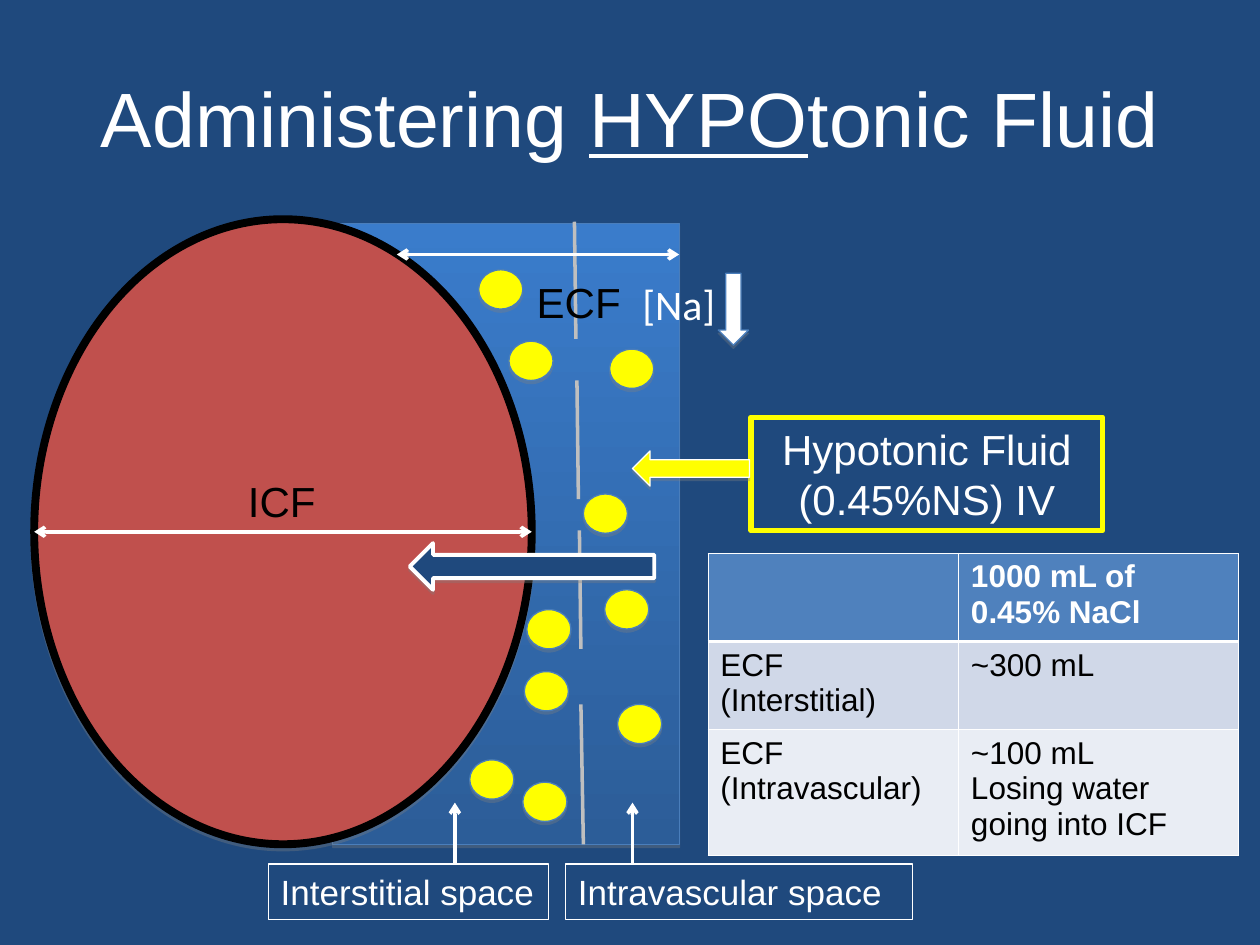
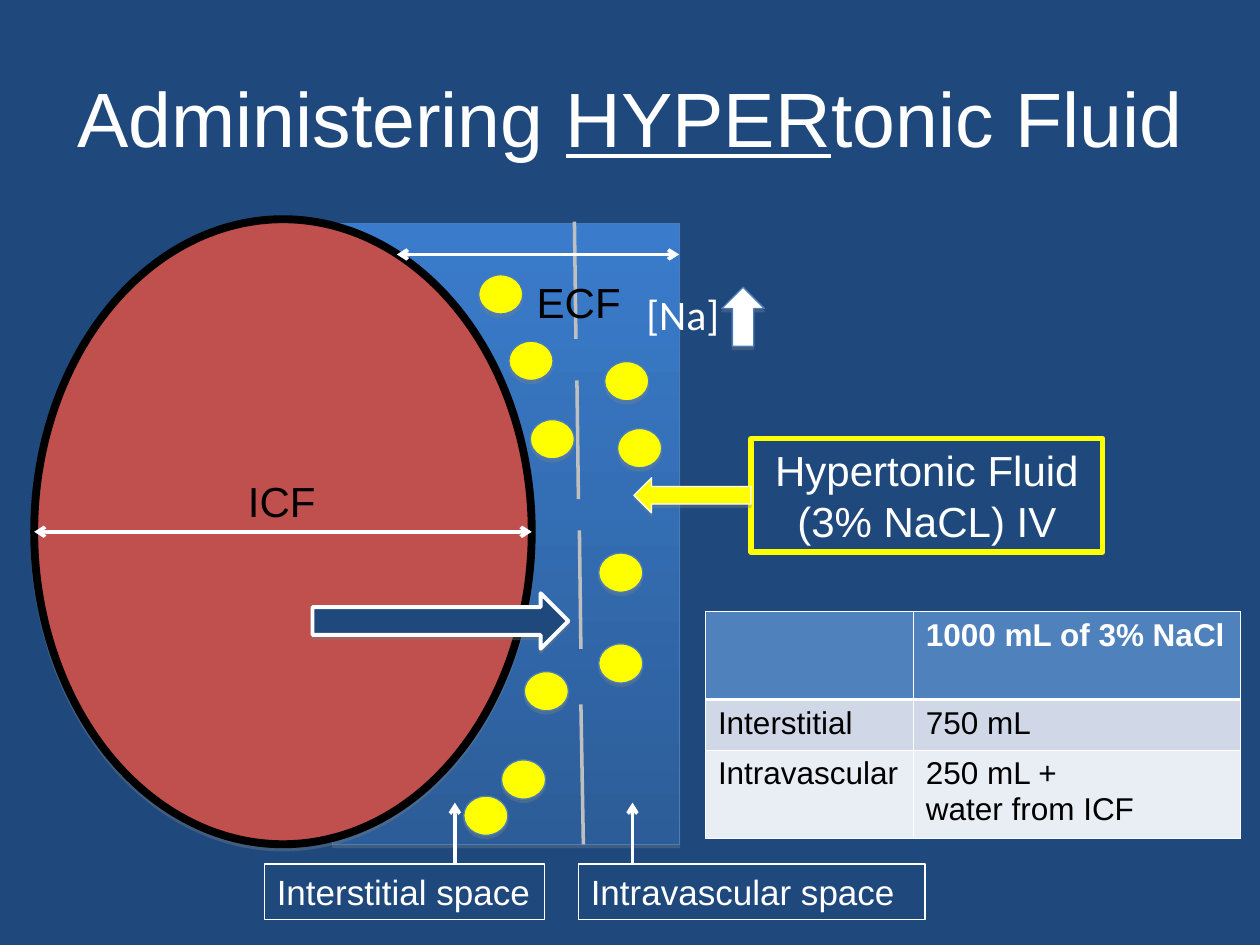
"""Build two slides on how hypotonic and hypertonic fluids shift water."""
from lxml.etree import SubElement
from pptx import Presentation
from pptx.dml.color import RGBColor
from pptx.enum.shapes import MSO_CONNECTOR, MSO_SHAPE as SHAPE
from pptx.enum.text import MSO_ANCHOR, MSO_AUTO_SIZE as AUTO_SIZE, PP_ALIGN as ALIGN
from pptx.oxml.ns import qn
from pptx.util import Cm, Pt

HEX = {
    "navy": "1F497D", "white": "FFFFFF", "black": "000000", "yellow": "FFFF00",
    "red": "C0504D", "outline": "4A7EBB", "membrane": "BFBFBF", "shadow": "808080",
    "ecf_top": "3A7CCB", "ecf_bottom": "2C5D98",
    "header": "4F81BD", "odd_row": "D0D8E8", "even_row": "E9EDF4",
}
RGB = {name: RGBColor.from_string(value) for name, value in HEX.items()}

MEMBRANE = [
    (11.58, 4.47, 11.61, 6.83), (11.63, 7.67, 11.66, 10.06),
    (11.68, 10.69, 11.71, 13.08), (11.71, 14.2, 11.76, 17.02),
]
POINTERS = [(9.17, 17.42, 9.17, 16.18), (12.75, 17.42, 12.75, 16.18)]
SPANS = [(0.69, 10.72, 10.72, 10.72), (8, 5.13, 13.69, 5.13)]
SHARED_SODIUM = [(10.26, 6.88), (10.57, 13.54)]

FLUIDS = [
    {
        "prefix": "HYPO",
        "fluid": "Hypotonic Fluid\n(0.45%NS) IV", "fluid_top": 8.41,
        "infusion": (12.75, 9.09, 2.36, 0.71),
        "water": (SHAPE.LEFT_ARROW, (8.26, 10.95, 4.93, 0.94)),
        "trend": (SHAPE.DOWN_ARROW, (14.48, 5.51, 0.61, 1.45)),
        "na_box": (12.7, 5.49, 2.16, 1.27),
        "interstitial_left": 5.41, "intravascular_left": 11.4,
        "sodium": [
            (12.19, 11.89), (11.76, 9.96), (12.45, 14.2), (9.65, 5.44),
            (9.47, 15.32), (10.62, 12.29), (10.54, 15.77), (12.29, 7.04),
        ],
        "table_at": (14.27, 11.15),
        "columns": (5.05, 5.64), "rows": (1.78, 1.78, 2.54),
        "volumes": [
            ("", "1000 mL of\n0.45% NaCl"),
            ("ECF (Interstitial)", "~300 mL"),
            ("ECF\n(Intravascular)", "~100 mL\nLosing water going into ICF"),
        ],
    },
    {
        "prefix": "HYPER",
        "fluid": "Hypertonic Fluid\n(3% NaCL) IV", "fluid_top": 8.84,
        "infusion": (12.78, 9.63, 2.36, 0.71),
        "water": (SHAPE.RIGHT_ARROW, (6.3, 11.96, 5.16, 1.12)),
        "trend": (SHAPE.UP_ARROW, (14.55, 5.79, 0.86, 1.19)),
        "na_box": (12.78, 5.69, 3, 1.27),
        "interstitial_left": 5.33, "intravascular_left": 11.66,
        "sodium": [
            (12.19, 7.29), (12.45, 8.64), (10.69, 8.46), (9.35, 16.05),
            (12.07, 11.15), (12.07, 12.98), (9.65, 5.54), (10.11, 15.32),
        ],
        "table_at": (14.22, 12.32),
        "columns": (4.19, 6.6), "rows": (1.78, 1.02, 1.78),
        "volumes": [
            ("", "1000 mL of 3% NaCl"),
            ("Interstitial", "750 mL"),
            ("Intravascular", "250 mL +\nwater from ICF"),
        ],
    },
]


def add_part(slide, kind, box, fill, line="outline", width=0.75):
    part = slide.shapes.add_shape(kind, *map(Cm, box))
    part.fill.solid()
    part.fill.fore_color.rgb = RGB[fill]
    part.line.color.rgb = RGB[line]
    part.line.width = Pt(width)
    part.shadow.inherit = False
    effects = part._element.spPr.find(qn("a:effectLst"))
    shadow = SubElement(effects, qn("a:outerShdw"), blurRad="0", dist="23000",
                        dir="5400000", rotWithShape="0")
    tint = SubElement(shadow, qn("a:srgbClr"), val=HEX["shadow"])
    SubElement(tint, qn("a:alpha"), val="35000")
    return part


def add_line(slide, ends, color, arrows=()):
    line = slide.shapes.add_connector(MSO_CONNECTOR.STRAIGHT, *map(Cm, ends))
    line.line.color.rgb = RGB[color]
    line.line.width = Pt(2)
    properties = line._element.spPr
    for end in arrows:
        SubElement(properties.find(qn("a:ln")), qn(f"a:{end}"), type="arrow")
    SubElement(properties, qn("a:effectLst"))


deck = Presentation()
deck.slide_width, deck.slide_height = Cm(25.4), Cm(19.05)
deck.slide_master.background.fill.solid()
deck.slide_master.background.fill.fore_color.rgb = RGB["navy"]
title_only = deck.slide_layouts[5]

for fluid in FLUIDS:
    slide = deck.slides.add_slide(title_only)

    title = slide.shapes.title
    title.left, title.top, title.width, title.height = map(Cm, (1.27, 0.76, 22.86, 3.18))
    title.text_frame.auto_size = AUTO_SIZE.NONE
    title.text_frame.vertical_anchor = MSO_ANCHOR.MIDDLE
    heading = title.text_frame.paragraphs[0]
    heading.alignment = ALIGN.CENTER
    for words in ("Administering ", fluid["prefix"], "tonic Fluid"):
        run = heading.add_run()
        run.text = words
        run.font.name, run.font.size = "Arial", Pt(44)
        run.font.color.rgb = RGB["white"]
        run.font.underline = words == fluid["prefix"]

    ecf = add_part(slide, SHAPE.RECTANGLE, (6.71, 4.5, 6.99, 12.52), "ecf_top")
    ecf.fill.gradient()
    ecf.fill.gradient_angle = 270
    for stop, shade in zip(ecf.fill.gradient_stops, ("ecf_top", "ecf_bottom")):
        stop.color.rgb = RGB[shade]
    add_part(slide, SHAPE.OVAL, (0.69, 4.42, 10.03, 12.6), "red", "black", 4.5)

    for ends in MEMBRANE:
        add_line(slide, ends, "membrane")
    for ends in POINTERS:
        add_line(slide, ends, "white", ["tailEnd"])
    for ends in SPANS:
        add_line(slide, ends, "white", ["headEnd", "tailEnd"])

    labels = [
        ("ICF", (4.75, 9.47, 1.93, 1.27), 24, "black", None),
        ("ECF", (10.57, 5.44, 2.5, 1.27), 24, "black", None),
        ("[Na]", fluid["na_box"], 24, "white", None),
        ("Interstitial space", (fluid["interstitial_left"], 17.42, 5.65, 1.12),
         20, "white", ("white", 0.75)),
        ("Intravascular space", (fluid["intravascular_left"], 17.42, 6.99, 1.12),
         20, "white", ("white", 0.75)),
        (fluid["fluid"], (15.14, fluid["fluid_top"], 7.09, 2.29),
         24, "white", ("yellow", 3)),
    ]
    for text, box, size, color, border in labels:
        label = slide.shapes.add_textbox(*map(Cm, box))
        label.text_frame.text = text
        label.text_frame.word_wrap = True
        label.text_frame.auto_size = AUTO_SIZE.SHAPE_TO_FIT_TEXT
        if border:
            label.line.color.rgb = RGB[border[0]]
            label.line.width = Pt(border[1])
        for paragraph in label.text_frame.paragraphs:
            paragraph.alignment = ALIGN.CENTER if text == fluid["fluid"] else ALIGN.LEFT
            font = paragraph.runs[0].font
            font.name = "Calibri" if text == "[Na]" else "Arial"
            font.size = Pt(size)
            font.color.rgb = RGB[color]

    add_part(slide, SHAPE.LEFT_ARROW, fluid["infusion"], "yellow", "white")
    for left, top in SHARED_SODIUM + fluid["sodium"]:
        add_part(slide, SHAPE.OVAL, (left, top, 0.89, 0.79), "yellow")
    add_part(slide, *fluid["water"], "navy", "white", 2.25)
    add_part(slide, *fluid["trend"], "white")

    extent = sum(fluid["columns"]), sum(fluid["rows"])
    volumes = slide.shapes.add_table(3, 2, *map(Cm, fluid["table_at"] + extent)).table
    for column, width in zip(volumes.columns, fluid["columns"]):
        column.width = Cm(width)
    for index, texts in enumerate(fluid["volumes"]):
        volumes.rows[index].height = Cm(fluid["rows"][index])
        for cell, text in zip(volumes.rows[index].cells, texts):
            cell.text = text
            for side in "LRTB":
                heavy = (index, side) in ((0, "B"), (1, "T"))
                edge = SubElement(cell._tc.get_or_add_tcPr(), qn(f"a:ln{side}"),
                                  w=str(Pt(1.47 if heavy else 0.45)))
                SubElement(SubElement(edge, qn("a:solidFill")), qn("a:srgbClr"),
                           val=HEX["white"])
            cell.fill.solid()
            cell.fill.fore_color.rgb = RGB[("header", "odd_row", "even_row")[index]]
            for paragraph in cell.text_frame.paragraphs:
                for run in paragraph.runs:
                    run.font.name, run.font.size = "Arial", Pt(18)
                    run.font.bold = index == 0
                    run.font.color.rgb = RGB["black" if index else "white"]

deck.save("out.pptx")
